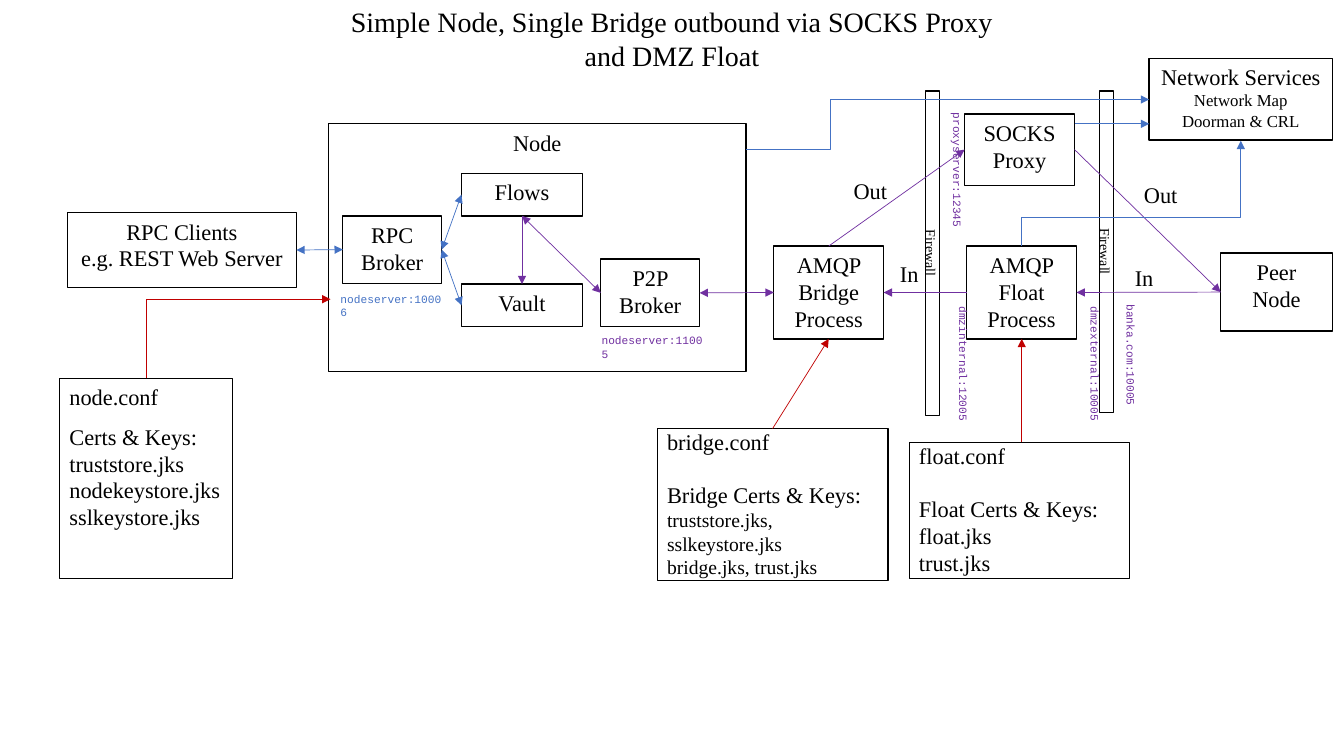
from lxml import etree
from pptx import Presentation
from pptx.dml.color import RGBColor
from pptx.enum import shapes, text
from pptx.oxml import ns
from pptx.util import Cm, Pt

COLORS = {"black": "000000", "blue": "4472C4", "purple": "7030A0", "red": "C00000"}
SERIF, MONO = "Times New Roman", "Courier New"
TOP, LEFT, BOTTOM, RIGHT = range(4)  # connection sites of a rectangle


def rgb(name):
    """Look up a colour by name."""
    return RGBColor.from_string(COLORS[name])


def write(sp, lines, sizes, font=SERIF, color="black", align=text.PP_ALIGN.CENTER,
          vertical=False, wrap=True, gap=0):
    """Fill a shape with lines; gap is the space in points after the first line."""
    tf = sp.text_frame
    tf.text = "\n".join(lines)
    tf.word_wrap = wrap
    tf.vertical_anchor = text.MSO_ANCHOR.TOP
    if vertical:
        tf._txBody.bodyPr.set("vert", "vert")
    if gap:
        tf.paragraphs[0].space_after = Pt(gap)
    for i, p in enumerate(tf.paragraphs):
        p.alignment = align
        for r in p.runs:
            r.font.size = Pt(sizes[min(i, len(sizes) - 1)])
            r.font.name = font
            r.font.color.rgb = rgb(color)


def add_box(slide, area, lines, sizes=(16,), weight=1, **style):
    """Add an outlined rectangle with text."""
    sp = slide.shapes.add_shape(shapes.MSO_SHAPE.RECTANGLE, *map(Cm, area))
    sp.shadow.inherit = False
    sp.fill.background()
    sp.line.color.rgb = rgb("black")
    sp.line.width = Pt(weight)
    write(sp, lines, sizes, **style)
    return sp


def add_conf(slide, area, lines, gap, sizes=(16,), inset=0.0):
    """Add a box that lists a configuration file and its key stores."""
    sp = add_box(slide, area, lines, sizes, 0.75, align=text.PP_ALIGN.LEFT, gap=gap)
    sp.text_frame.margin_top = sp.text_frame.margin_bottom = Cm(inset)
    return sp


def add_firewall(slide, x, height):
    """Add a narrow upright firewall bar."""
    sp = add_box(slide, (x, 2.29, 0.36, height), ["Firewall"], (10,), vertical=True)
    sp.text_frame.margin_left = sp.text_frame.margin_right = 0


def add_label(slide, area, lines, size=16, **style):
    """Add free-standing text."""
    sp = slide.shapes.add_textbox(*map(Cm, area))
    write(sp, lines, (size,), **style)


def style_line(con, color, both=False, weight=0.5):
    """Colour a connector, drop its shadow and give it arrowheads."""
    con.line.color.rgb = rgb(color)
    con.line.width = Pt(weight)
    ln = con.line._get_or_add_ln()
    for tag in ("a:headEnd", "a:tailEnd")[0 if both else 1:]:
        etree.SubElement(ln, ns.qn(tag), type="triangle")
    etree.SubElement(con._element.spPr, ns.qn("a:effectLst"))


def add_arrow(slide, start, end, color, both=False):
    """Join two (box, site) pairs by a straight arrow."""
    con = slide.shapes.add_connector(shapes.MSO_CONNECTOR.STRAIGHT, 0, 0, 0, 0)
    con.begin_connect(*start)
    con.end_connect(*end)
    style_line(con, color, both)


def add_straight(slide, start, end, color):
    """Add a straight arrow between two points."""
    con = slide.shapes.add_connector(
        shapes.MSO_CONNECTOR.STRAIGHT, *map(Cm, start + end))
    style_line(con, color)


def add_elbow(slide, start, end, color, bend=None, upward=False, weight=0.5):
    """Add a bent arrow; upward ones leave vertically, then turn right."""
    (x1, y1), (x2, y2) = start, end
    if upward:  # a quarter turn swaps the width and height of the frame
        cx, cy = (x1 + x2) / 2, (y1 + y2) / 2
        w, h = abs(y2 - y1) / 2, abs(x2 - x1) / 2
        x1, y1, x2, y2 = cx + w, cy + h, cx - w, cy - h
    con = slide.shapes.add_connector(
        shapes.MSO_CONNECTOR.ELBOW, *map(Cm, (x1, y1, x2, y2)))
    spPr = con._element.spPr
    geom = spPr.find(ns.qn("a:prstGeom"))
    if upward:
        spPr.find(ns.qn("a:xfrm")).set("rot", "5400000")
    if bend is None:
        geom.set("prst", "bentConnector2")
    else:
        etree.SubElement(geom.find(ns.qn("a:avLst")), ns.qn("a:gd"),
                         name="adj1", fmla=f"val {round(bend * 100000)}")
    style_line(con, color, weight=weight)


def add_boxes(slide):
    """Add the processes, firewalls and configuration boxes."""
    add_box(slide, (8.28, 3.12, 10.52, 6.25), ["Node"])
    add_firewall(slide, 23.32, 8.18)
    add_firewall(slide, 27.71, 8.1)
    add_box(slide, (28.96, 1.47, 4.62, 2.06),
            ["Network Services", "Network Map", "Doorman & CRL"], (16, 12))
    add_conf(slide, (1.5, 9.53, 4.37, 5.05),
             ["node.conf", "Certs & Keys:", "truststore.jks", "nodekeystore.jks",
              "sslkeystore.jks"], 9, inset=0.13)
    add_conf(slide, (22.91, 11.15, 5.56, 3.43),
             ["float.conf", "Float Certs & Keys:", "float.jks", "trust.jks"], 18.4)
    return {
        "clients": add_box(slide, (1.7, 5.36, 5.77, 1.88),
                           ["RPC Clients", "e.g. REST Web Server"]),
        "rpc": add_box(slide, (8.64, 5.44, 2.49, 1.7), ["RPC Broker"]),
        "flows": add_box(slide, (11.63, 4.37, 3.05, 1.07), ["Flows"]),
        "vault": add_box(slide, (11.63, 7.16, 3.05, 1.07), ["Vault"]),
        "p2p": add_box(slide, (15.14, 6.53, 2.49, 1.7), ["P2P Broker"]),
        "bridge": add_box(slide, (19.5, 6.2, 2.77, 2.34), ["AMQP Bridge Process"]),
        "float": add_box(slide, (24.36, 6.2, 2.77, 2.34), ["AMQP Float Process"]),
        "peer": add_box(slide, (30.76, 6.38, 2.82, 1.96), ["Peer", "Node"]),
        "socks": add_box(slide, (24.31, 2.87, 2.77, 1.8), ["SOCKS", "Proxy"]),
        "bridge conf": add_conf(
            slide, (16.56, 10.8, 5.82, 3.84),
            ["bridge.conf", "Bridge Certs & Keys:", "truststore.jks, sslkeystore.jks",
             "bridge.jks, trust.jks"], 18.4, (16, 16, 14)),
    }


def add_arrows(slide, box):
    """Draw the traffic between the boxes."""
    for start, site1, end, site2, color, both in [
        ("clients", RIGHT, "rpc", LEFT, "blue", True),
        ("rpc", RIGHT, "flows", LEFT, "blue", True),
        ("rpc", RIGHT, "vault", LEFT, "blue", True),
        ("flows", BOTTOM, "vault", TOP, "purple", False),
        ("flows", BOTTOM, "p2p", LEFT, "purple", True),
        ("p2p", RIGHT, "bridge", LEFT, "purple", True),
        ("float", LEFT, "bridge", RIGHT, "purple", False),
        ("peer", LEFT, "float", RIGHT, "purple", False),
        ("bridge", TOP, "socks", LEFT, "purple", False),
        ("socks", RIGHT, "peer", LEFT, "purple", False),
        ("bridge conf", TOP, "bridge", BOTTOM, "red", False),
    ]:
        add_arrow(slide, (box[start], site1), (box[end], site2), color, both)
    add_straight(slide, (25.75, 11.15), (25.75, 8.54), "red")
    add_straight(slide, (27.08, 3.12), (28.96, 3.12), "blue")
    add_elbow(slide, (3.68, 9.53), (8.33, 7.54), "red", upward=True)
    add_elbow(slide, (18.8, 3.76), (28.96, 2.51), "blue", bend=0.21)
    add_elbow(slide, (25.75, 6.2), (31.27, 3.55), "blue", 0.27, True, 0.75)


def add_labels(slide):
    """Add the title, traffic directions and addresses."""
    add_label(slide, (8.53, 0, 16.81, 1.96),
              ["Simple Node, Single Bridge outbound via SOCKS Proxy", "and DMZ Float"],
              20, wrap=False)
    for word, x, y, width in [("In", 28.35, 6.53, 0.99), ("In", 22.43, 6.43, 0.99),
                              ("Out", 28.58, 4.45, 1.37), ("Out", 21.26, 4.34, 1.37)]:
        add_label(slide, (x, y, width, 0.94), [word], wrap=False,
                  align=text.PP_ALIGN.LEFT)
    for address, x, y, color in [("nodeserver:11005", 14.91, 8.28, "purple"),
                                 ("nodeserver:10006", 8.33, 7.24, "blue")]:
        add_label(slide, (x, y, 3.2, 0.61), [address], 8, font=MONO, color=color,
                  align=text.PP_ALIGN.LEFT)
    for address, x, y, height in [("proxyserver:12345", 23.57, 2.59, 3.12),
                                  ("banka.com:10005", 27.94, 7.42, 2.79),
                                  ("dmzexternal:10005", 27.03, 7.47, 3.12),
                                  ("dmzinternal:12005", 23.72, 7.47, 3.12)]:
        add_label(slide, (x, y, 0.86, height), [address], 8, font=MONO, color="purple",
                  align=text.PP_ALIGN.LEFT, vertical=True, wrap=False)


def main():
    """Build the slide and save it."""
    prs = Presentation()
    prs.slide_width, prs.slide_height = Cm(33.87), Cm(19.05)
    slide = prs.slides.add_slide(prs.slide_layouts[6])
    box = add_boxes(slide)
    add_arrows(slide, box)
    add_labels(slide)
    prs.save("out.pptx")


main()
